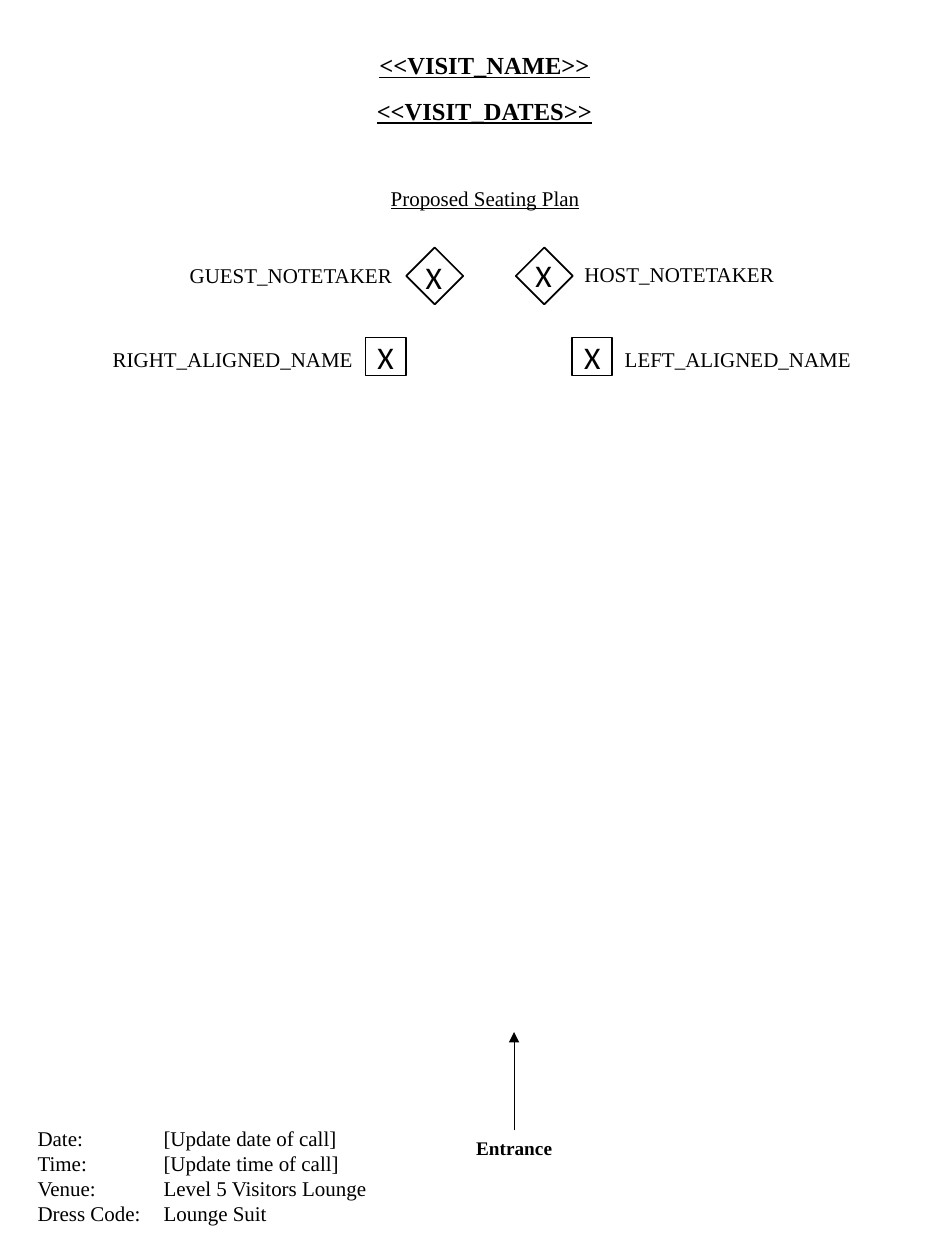
from lxml import etree
from pptx import Presentation
from pptx.dml.color import RGBColor
from pptx.enum.shapes import MSO_CONNECTOR, MSO_SHAPE
from pptx.enum.text import MSO_ANCHOR as ANCHOR, MSO_AUTO_SIZE as AUTO, PP_ALIGN as ALIGN
from pptx.oxml.ns import qn
from pptx.util import Inches, Pt

COLORS = {"ink": "000000", "paper": "FFFFFF"}
SERIF, SANS = "Times New Roman", "Calibri"


def rgb(name):
    return RGBColor.from_string(COLORS[name])


def place(sp, left, top, width, height):
    sp.left, sp.top, sp.width, sp.height = map(Inches, (left, top, width, height))


def write(sp, text, size=12, font=SERIF, align=ALIGN.LEFT, anchor=ANCHOR.TOP,
          bold=False, underline=False, wrap=False):
    tf = sp.text_frame
    tf.text = text
    tf.word_wrap = wrap
    tf.vertical_anchor = anchor
    for p in tf.paragraphs:
        p.alignment = align
        for r in p.runs:
            r.font.size, r.font.name = Pt(size), font
            r.font.bold, r.font.underline = bold, underline
            r.font.color.rgb = rgb("ink")


def add_text(shapes, box, text, **style):
    sp = shapes.add_textbox(*map(Inches, box))
    write(sp, text, **style)
    return sp


def add_seat(slide, marker_box, label_box, label, diamond=False, **style):
    """A seat marker grouped with its name label."""
    shapes = slide.shapes.add_group_shape().shapes
    sp = shapes.add_shape(MSO_SHAPE.RECTANGLE, *map(Inches, marker_box))
    sp.shadow.inherit = False
    sp.fill.solid()
    sp.fill.fore_color.rgb = rgb("paper")
    sp.line.color.rgb = rgb("ink")
    sp.line.width = Pt(1)
    if diamond:
        sp.rotation = 45
    else:
        write(sp, "X", size=18, font=SANS, align=ALIGN.CENTER, anchor=ANCHOR.MIDDLE)
    add_text(shapes, label_box, label, **style)


def add_arrow(slide, x, start_y, end_y):
    line = slide.shapes.add_connector(
        MSO_CONNECTOR.STRAIGHT, *map(Inches, (x, start_y, x, end_y)))
    line.line.color.rgb = rgb("ink")
    line.line.width = Pt(0.5)
    etree.SubElement(line.line._get_or_add_ln(), qn("a:tailEnd"), type="triangle")
    etree.SubElement(line._element.spPr, qn("a:effectLst"))


def add_details(slide, rows):
    text = "\n".join(f"{name}:\t{value}" for name, value in rows)
    sp = add_text(slide.shapes, (0.2, 8.88, 2.84, 0.91), text)
    for p in sp.text_frame.paragraphs:
        tabs = etree.SubElement(p._p.get_or_add_pPr(), qn("a:tabLst"))
        etree.SubElement(tabs, qn("a:tab"), pos=str(Inches(1)), algn="l")


def main():
    prs = Presentation()
    prs.slide_width, prs.slide_height = Inches(7.5), Inches(10)
    slide = prs.slides.add_slide(prs.slide_layouts[5])
    shapes = slide.shapes

    # Headings
    heading = dict(size=14, align=ALIGN.CENTER, bold=True, underline=True)
    title = shapes.title
    place(title, 2.9, 0.35, 1.89, 0.34)
    write(title, "<<VISIT_NAME>>", **heading)
    title.text_frame.auto_size = AUTO.NONE
    add_text(shapes, (2.88, 0.71, 1.93, 0.34), "<<VISIT_DATES>>", **heading)
    add_text(shapes, (2.89, 1.42, 1.92, 0.3), "Proposed Seating Plan",
             align=ALIGN.CENTER, underline=True, wrap=True)

    # Seats
    guest = dict(align=ALIGN.RIGHT, anchor=ANCHOR.MIDDLE)
    add_seat(slide, (4.54, 2.68, 0.32, 0.3), (4.86, 2.7, 2.01, 0.3), "LEFT_ALIGNED_NAME")
    add_seat(slide, (2.9, 2.68, 0.32, 0.3), (0.77, 2.7, 2.13, 0.3),
             "RIGHT_ALIGNED_NAME", **guest)
    add_seat(slide, (3.29, 2.03, 0.32, 0.32), (1.39, 2.03, 1.82, 0.3),
             "GUEST_NOTETAKER", diamond=True, **guest)
    add_seat(slide, (4.16, 2.03, 0.32, 0.32), (4.54, 2.03, 1.72, 0.3),
             "HOST_NOTETAKER", diamond=True)

    # Upright letters over the rotated markers
    for left, top in ((3.28, 2), (4.15, 1.98)):
        add_text(shapes, (left, top, 0.33, 0.4), "X", size=18, font=SANS)

    # Entrance
    add_text(shapes, (3.34, 8.97, 1.48, 0.29), "Entrance", size=11,
             align=ALIGN.CENTER, bold=True, wrap=True)
    add_arrow(slide, 4.08, 8.97, 8.19)

    # Visit details
    add_details(slide, [
        ("Date", "[Update date of call]"),
        ("Time", "[Update time of call]"),
        ("Venue", "Level 5 Visitors Lounge"),
        ("Dress Code", "Lounge Suit"),
    ])
    prs.save("out.pptx")


main()
